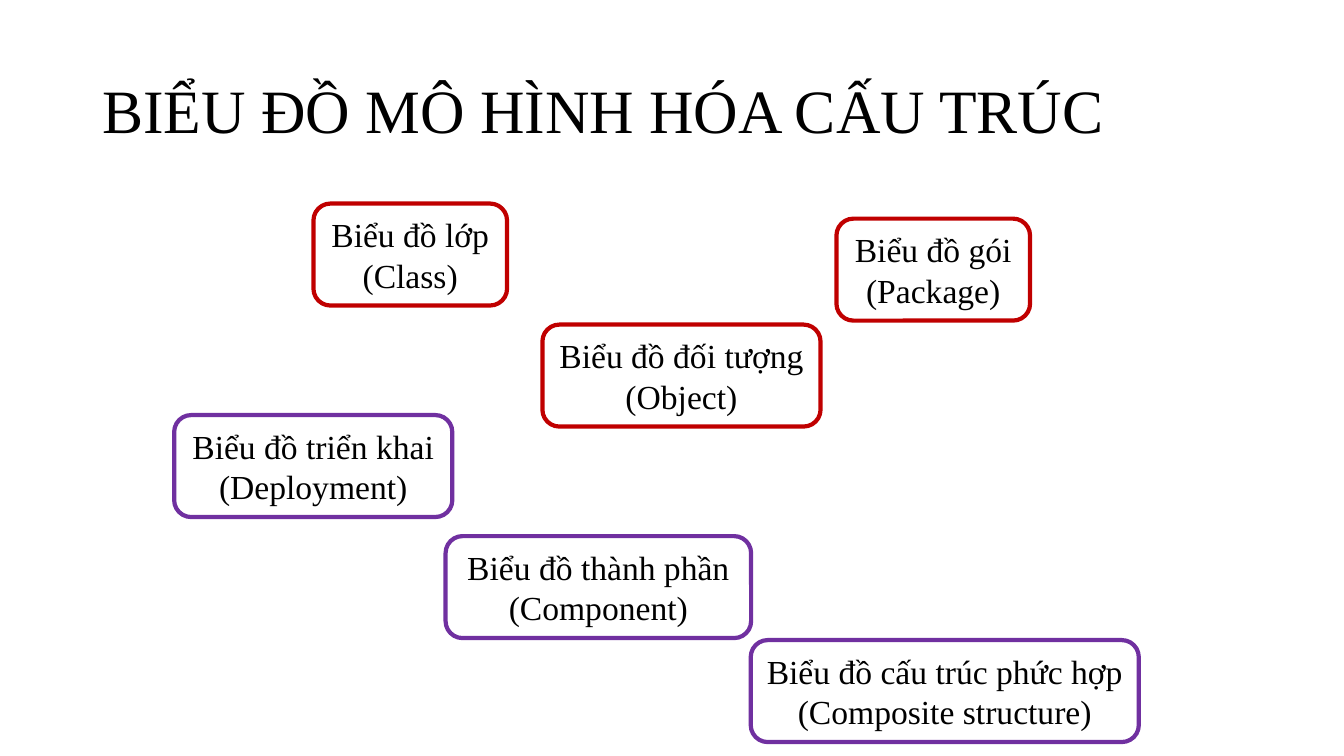
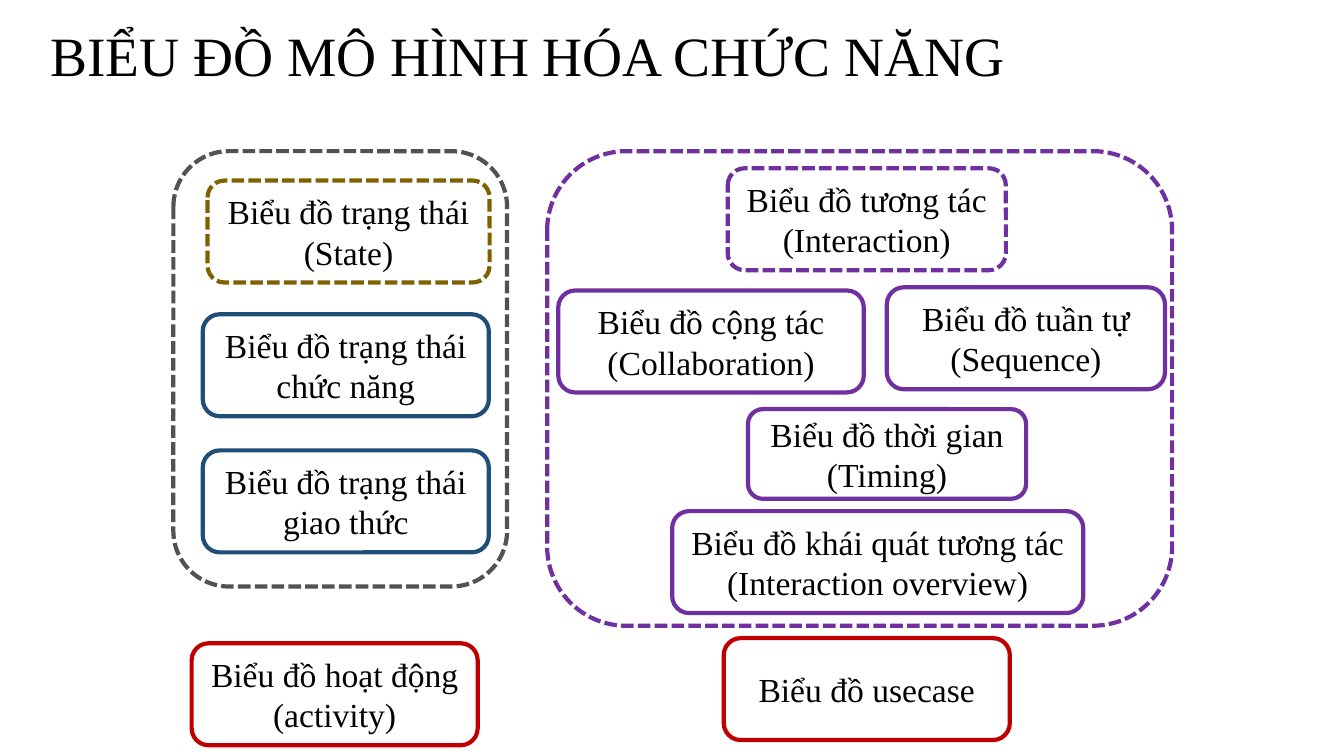
from dataclasses import dataclass

from pptx import Presentation
from pptx.dml.color import RGBColor
from pptx.enum.dml import MSO_LINE
from pptx.enum.shapes import MSO_SHAPE
from pptx.enum.text import MSO_ANCHOR, PP_ALIGN
from pptx.slide import Slide
from pptx.util import Cm, Pt

ROUND = MSO_SHAPE.ROUNDED_RECTANGLE
DASH = MSO_LINE.SQUARE_DOT
MIDDLE = MSO_ANCHOR.MIDDLE
CENTER = PP_ALIGN.CENTER

FONT = "Times New Roman"
BLACK, WHITE, GRAY = "000000", "FFFFFF", "525252"
RED, PURPLE, GOLD, BLUE = "C00000", "7030A0", "806000", "1F4E79"

# Box sizes in cm
HIGH = 2.57
SMALL, MEDIUM, STATE, WIDE = 4.88, 7.01, 7.21, 7.7


@dataclass
class Box:
    left: float
    top: float
    width: float
    color: str
    text: str = ""
    height: float = HIGH
    dashed: bool = False


# Structure diagrams
STRUCTURE = [
    Box(7.9, 5.13, SMALL, RED, "Biểu đồ lớp\n(Class)"),
    Box(13.67, 8.18, MEDIUM, RED, "Biểu đồ đối tượng\n(Object)"),
    Box(21.08, 5.51, SMALL, RED, "Biểu đồ gói\n(Package)"),
    Box(11.23, 13.51, WIDE, PURPLE, "Biểu đồ thành phần\n(Component)"),
    Box(4.39, 10.46, MEDIUM, PURPLE, "Biểu đồ triển khai\n(Deployment)"),
    Box(18.92, 16.13, 9.78, PURPLE,
        "Biểu đồ cấu trúc phức hợp\n(Composite structure)"),
]

# Behaviour diagrams: interaction frame, state frame, single boxes
INTERACTION = [
    Box(13.79, 3.81, 15.75, PURPLE, height=11.96, dashed=True),
    Box(18.34, 4.24, MEDIUM, PURPLE, "Biểu đồ tương tác\n(Interaction)", dashed=True),
    Box(14.07, 7.32, WIDE, PURPLE, "Biểu đồ cộng tác\n(Collaboration)"),
    Box(22.35, 7.24, MEDIUM, PURPLE, "Biểu đồ tuần tự\n(Sequence)"),
    Box(16.94, 12.88, 10.36, PURPLE,
        "Biểu đồ khái quát tương tác\n(Interaction overview)"),
    Box(18.85, 10.31, MEDIUM, PURPLE, "Biểu đồ thời gian\n(Timing)", height=2.26),
]
STATES = [
    Box(4.37, 3.81, 8.41, GRAY, height=10.97, dashed=True),
    Box(5.23, 4.55, 7.11, GOLD, "Biểu đồ trạng thái\n(State)", dashed=True),
    Box(5.11, 11.35, STATE, BLUE, "Biểu đồ trạng thái giao thức"),
    Box(5.11, 7.92, STATE, BLUE, "Biểu đồ trạng thái chức năng"),
]
SINGLES = [
    Box(4.83, 16.21, STATE, RED, "Biểu đồ hoạt động\n(activity)"),
    Box(18.24, 16.08, STATE, RED, "Biểu đồ usecase"),
]


def rgb(code: str) -> RGBColor:
    return RGBColor.from_string(code)


def set_text(frame, text: str, size: float) -> None:
    frame.text = text
    frame.word_wrap = True
    frame.vertical_anchor = MIDDLE
    for para in frame.paragraphs:
        para.font.name = FONT
        para.font.size = Pt(size)
        para.font.color.rgb = rgb(BLACK)


def add_title(slide: Slide, text: str, size: float, left: float, top: float,
              width: float, height: float) -> None:
    title = slide.shapes.add_textbox(Cm(left), Cm(top), Cm(width), Cm(height))
    set_text(title.text_frame, text, size)
    title.text_frame.paragraphs[0].line_spacing = 0.9


def add_boxes(shapes, boxes: list[Box]) -> None:
    for box in boxes:
        shape = shapes.add_shape(ROUND, Cm(box.left), Cm(box.top),
                                 Cm(box.width), Cm(box.height))
        shape.shadow.inherit = False
        shape.fill.solid()
        shape.fill.fore_color.rgb = rgb(WHITE)
        shape.line.color.rgb = rgb(box.color)
        shape.line.width = Pt(3)
        if box.dashed:
            shape.line.dash_style = DASH
        if box.text:
            set_text(shape.text_frame, box.text, 24)
            for para in shape.text_frame.paragraphs:
                para.alignment = CENTER


def main() -> None:
    deck = Presentation()
    deck.slide_width, deck.slide_height = Cm(33.87), Cm(19.05)
    blank = deck.slide_layouts[6]

    # Slide 1: structure
    slide = deck.slides.add_slide(blank)
    add_title(slide, "BIỂU ĐỒ MÔ HÌNH HÓA CẤU TRÚC", 44, 2.33, 1.02, 29.21, 3.68)
    add_boxes(slide.shapes, STRUCTURE)

    # Slide 2: behaviour
    slide = deck.slides.add_slide(blank)
    add_title(slide, "BIỂU ĐỒ MÔ HÌNH HÓA CHỨC NĂNG", 39.6, 1.02, 0.58, 25.45, 1.8)
    add_boxes(slide.shapes, INTERACTION + SINGLES)
    add_boxes(slide.shapes.add_group_shape().shapes, STATES)

    deck.save("out.pptx")


if __name__ == "__main__":
    main()
